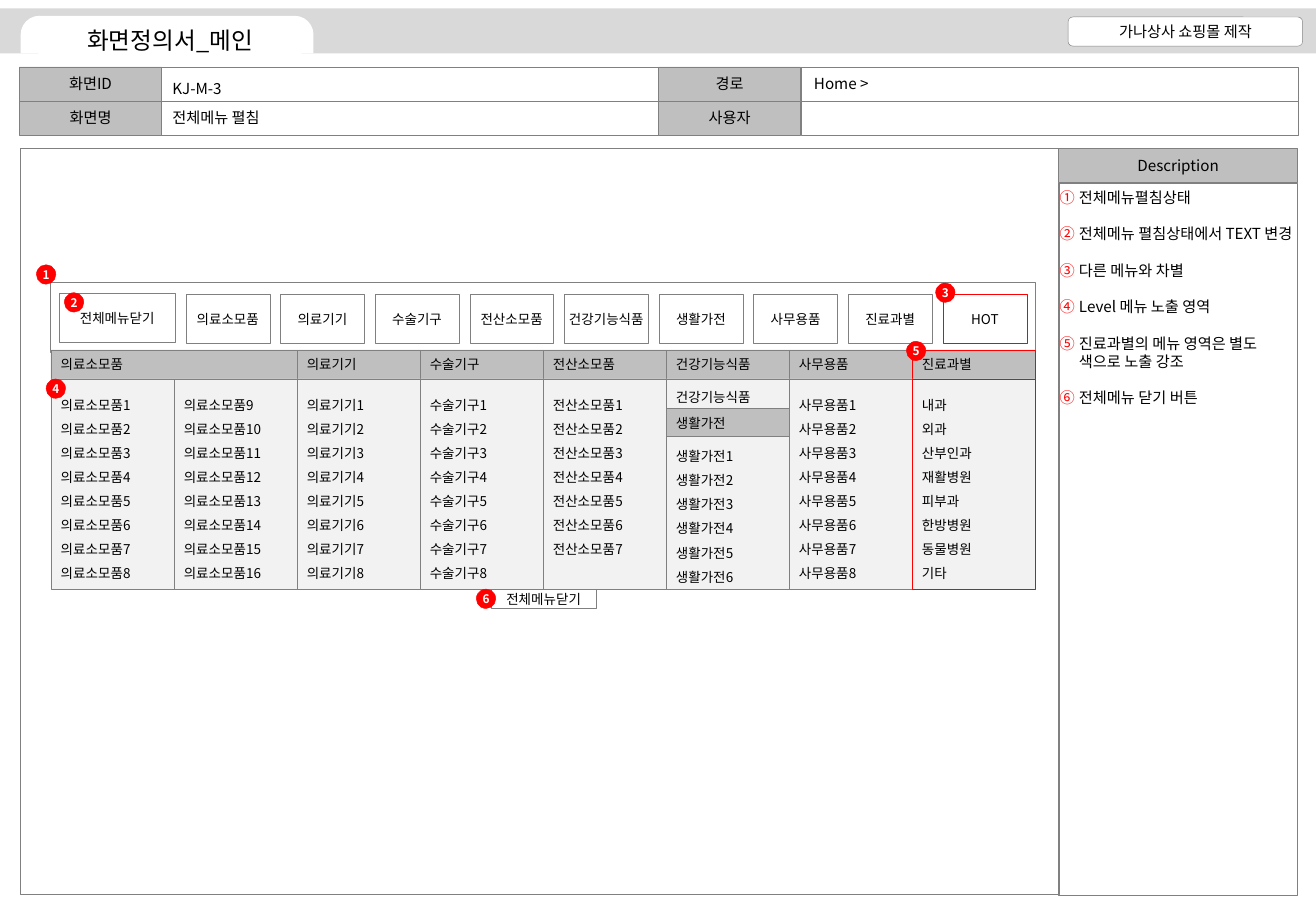
from pptx import Presentation
from pptx.dml.color import RGBColor
from pptx.enum.shapes import MSO_SHAPE
from pptx.enum.text import MSO_ANCHOR, PP_ALIGN
from pptx.oxml.ns import qn
from pptx.util import Inches, Pt
from lxml.etree import SubElement

COLORS = {
    "black": "000000", "white": "FFFFFF", "red": "FF0000", "border": "808080",
    "header": "BFBFBF", "band": "D9D9D9", "panel": "F2F2F2",
}
FONT = "Noto Sans CJK KR"
CENTER, LEFT = PP_ALIGN.CENTER, PP_ALIGN.LEFT
MIDDLE, TOP = MSO_ANCHOR.MIDDLE, MSO_ANCHOR.TOP
LINE = 1.2  # line height as a share of the text size
LIST_LINE = 1.79


def color(name):
    """Return the named colour."""
    return RGBColor.from_string(COLORS[name])


class Wireframe:
    """Holds the style and the current slide."""

    def __init__(self, slide):
        """Keep the slide to draw on."""
        self.slide = slide

    def fill_text(self, shape, lines, size=9, ink="black", bold=False, align=CENTER,
                  anchor=MIDDLE, inset=(0, 0), line_height=LINE, wrap=True):
        """Fill a shape with one paragraph per line."""
        frame = shape.text_frame
        across, down = map(Inches, inset)
        frame_format = {
            "word_wrap": wrap, "vertical_anchor": anchor,
            "margin_left": across, "margin_right": across,
            "margin_top": down, "margin_bottom": down,
        }
        for name, value in frame_format.items():
            setattr(frame, name, value)
        for index, line in enumerate(lines):
            para = frame.add_paragraph() if index else frame.paragraphs[0]
            para.alignment = align
            para.line_spacing = Pt(round(size * line_height, 1))
            span = para.add_run()
            span.text = line
            for name, value in {"name": FONT, "size": Pt(size), "bold": bold}.items():
                setattr(span.font, name, value)
            span.font.color.rgb = color(ink)
            SubElement(span.font._element, qn("a:ea")).set("typeface", FONT)
        return frame.paragraphs

    def box(self, left, top, width, height, lines=(), fill=None, border="border",
            kind=MSO_SHAPE.RECTANGLE, **text_format):
        """Draw a preset shape, with text if any."""
        shape = self.slide.shapes.add_shape(
            kind, Inches(left), Inches(top), Inches(width), Inches(height))
        shape.shadow.inherit = False
        if fill:
            shape.fill.solid()
            shape.fill.fore_color.rgb = color(fill)
        else:
            shape.fill.background()
        if border:
            shape.line.color.rgb = color(border)
            shape.line.width = Pt(0.25)
        else:
            shape.line.fill.background()
        self.fill_text(shape, lines, **text_format)
        return shape

    def note(self, left, top, width, height, lines, **text_format):
        """Place plain left-aligned text."""
        area = self.slide.shapes.add_textbox(
            Inches(left), Inches(top), Inches(width), Inches(height))
        return self.fill_text(area, lines, align=LEFT, anchor=TOP, **text_format)

    def numbered(self, left, top, width, height, lines):
        """Place a list with red circled numbers."""
        for para in self.note(left, top, width, height, lines):
            para.space_after = Pt(10.8)
            properties = para._p.get_or_add_pPr()
            properties.set("marL", str(Inches(0.16)))
            properties.set("indent", str(-Inches(0.16)))
            tint = SubElement(properties, qn("a:buClr"))
            SubElement(tint, qn("a:srgbClr")).set("val", COLORS["red"])
            SubElement(properties, qn("a:buFont")).set("typeface", FONT)
            SubElement(properties, qn("a:buAutoNum")).set("type", "circleNumDbPlain")

    def badge(self, left, top, number):
        """Draw a red numbered marker."""
        self.box(left, top, 0.16, 0.16, [str(number)], "red", "red",
                 MSO_SHAPE.OVAL, size=7, ink="white", bold=True)

    def heading(self, left, top, width, label, border="border"):
        """Draw the grey head of a menu column."""
        self.box(left, top, width, 0.24, [label], "header", border,
                 size=8, align=LEFT, inset=(0.08, 0.08))

    def entries(self, left, top, width, height, lines, border="border", anchor=TOP):
        """Draw the pale list of a menu column."""
        self.box(left, top, width, height, lines, "panel", border, size=8, align=LEFT,
                 anchor=anchor, inset=(0.08, 0.08), line_height=LIST_LINE)


def series(name, first, last):
    """Return the name with running numbers."""
    return [f"{name}{number}" for number in range(first, last + 1)]


def draw_frame(page):
    """Draw the title band, the information rows and the description panel."""
    page.box(0, 0.07, 10.83, 0.37, fill="band", border=None)
    tab = page.box(0.17, 0.13, 2.41, 0.31, fill="white", border=None,
                   kind=MSO_SHAPE.ROUND_2_SAME_RECTANGLE)
    tab.adjustments[0] = 0.5
    page.box(8.79, 0.14, 1.93, 0.24, ["가나상사 쇼핑몰 제작"], "white",
             kind=MSO_SHAPE.ROUNDED_RECTANGLE)
    page.box(0.3, 0.21, 2.2, 0.24, ["화면정의서_메인"], "white", None,
             MSO_SHAPE.ROUNDED_RECTANGLE, size=14)
    for left, labels in ((0.16, ("화면ID", "화면명")), (5.42, ("경로", "사용자"))):
        for row, label in enumerate(labels):
            top = 0.55 + row * 0.28
            page.box(left, top, 1.17, 0.28, [label], "header")
            page.box(left + 1.17, top, 4.09, 0.28)
    for left, top, width, value in ((1.32, 0.6, 0.61, "KJ-M-3"),
                                    (1.32, 0.84, 1, "전체메뉴 펼침"),
                                    (6.6, 0.56, 0.72, "Home >")):
        page.note(left, top, width, 0.25, [value], inset=(0.1, 0.05), wrap=False)
    page.box(0.17, 1.22, 8.55, 6.14)
    page.box(8.71, 1.22, 1.97, 0.28, ["Description"], "header")
    page.box(8.71, 1.51, 1.97, 5.86)
    page.numbered(8.72, 1.55, 1.97, 5.83, [
        "전체메뉴펼침상태", "전체메뉴 펼침상태에서 TEXT 변경", "다른 메뉴와 차별",
        "Level 메뉴 노출 영역", "진료과별의 메뉴 영역은 별도 색으로 노출 강조",
        "전체메뉴 닫기 버튼"])


def draw_menu_bar(page):
    """Draw the top menu and both close buttons."""
    page.box(0.41, 2.32, 8.11, 0.58)
    page.box(0.49, 2.41, 0.95, 0.41, ["전체메뉴닫기"], size=8)
    page.box(4.04, 4.85, 0.87, 0.16, ["전체메뉴닫기"], size=8)
    menus = ["의료소모품", "의료기기", "수술기구", "전산소모품", "건강기능식품",
             "생활가전", "사무용품", "진료과별", "HOT"]
    pitch = (7.76 - 1.53) / (len(menus) - 1)
    for index, menu in enumerate(menus):
        page.box(1.53 + index * pitch, 2.42, 0.69, 0.41, [menu], size=8,
                 border="red" if menu == "HOT" else "border")


def draw_open_menu(page):
    """Draw the unfolded menu, column by column."""
    departments = ["내과", "외과", "산부인과", "재활병원", "피부과", "한방병원",
                   "동물병원", "기타"]
    columns = [
        ("의료소모품", 2, series("의료소모품", 1, 8)),
        (None, 0, series("의료소모품", 9, 16)),
        ("의료기기", 1, series("의료기기", 1, 8)),
        ("수술기구", 1, series("수술기구", 1, 8)),
        ("전산소모품", 1, series("전산소모품", 1, 7)),
        ("건강기능식품", 1, None),
        ("사무용품", 1, series("사무용품", 1, 8)),
        ("진료과별", 1, departments),
    ]
    width = 8.1 / len(columns)
    for index, (label, span, lines) in enumerate(columns):
        left = 0.42 + index * width
        border = "red" if lines is departments else "border"
        if label:
            page.heading(left, 2.88, span * width, label, border)
        if lines:
            page.entries(left, 3.12, width, 1.73, lines, border)
        else:
            page.entries(left, 3.12, width, 0.24, [label], anchor=MIDDLE)
            page.heading(left, 3.36, width, "생활가전")
            page.entries(left, 3.59, width, 1.26, series("생활가전", 1, 6),
                         anchor=MIDDLE)


deck = Presentation()
deck.slide_width, deck.slide_height = Inches(10.83), Inches(7.5)
wireframe = Wireframe(deck.slides.add_slide(deck.slide_layouts[6]))
draw_frame(wireframe)
draw_menu_bar(wireframe)
draw_open_menu(wireframe)
markers = [(0.3, 2.18), (0.53, 2.41), (7.7, 2.33), (0.38, 3.12), (7.46, 2.81), (3.92, 4.85)]
for number, (left, top) in enumerate(markers, 1):
    wireframe.badge(left, top, number)
deck.save("out.pptx")
